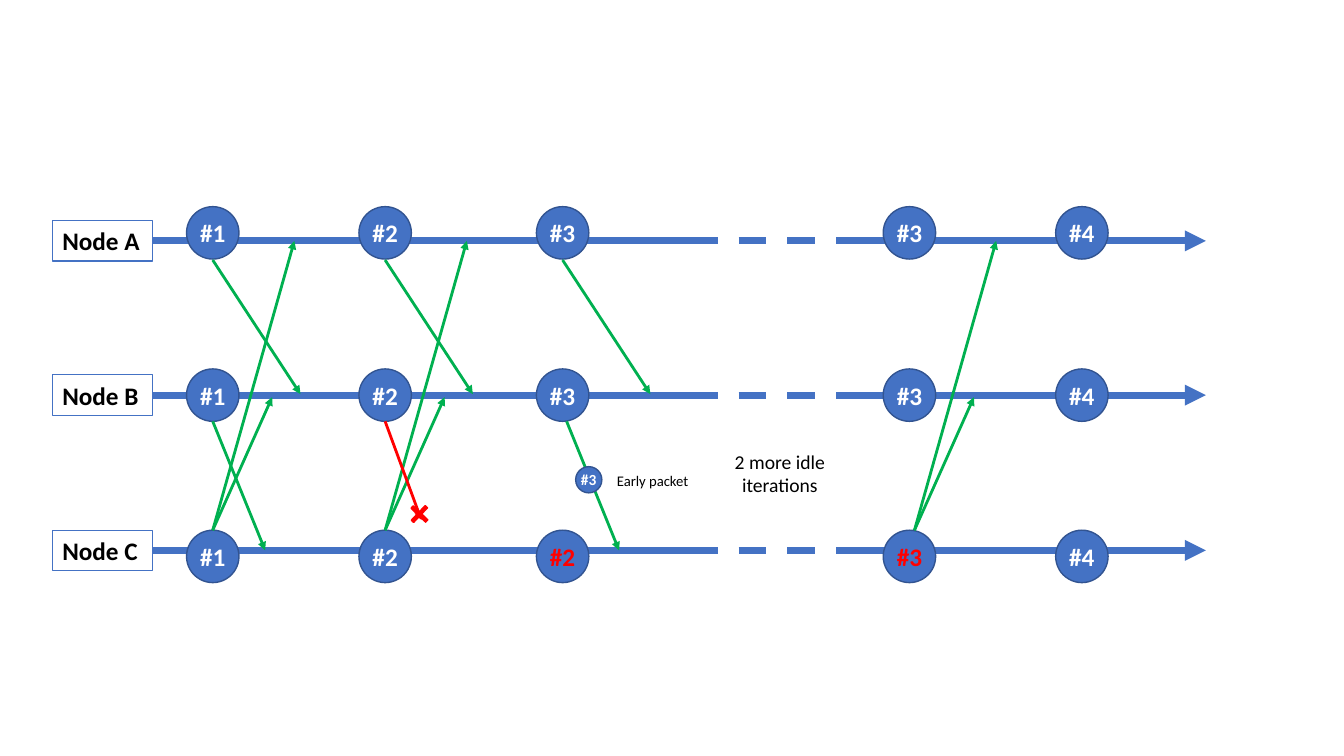
from dataclasses import dataclass
from lxml.etree import SubElement
from pptx import Presentation
from pptx.dml.color import RGBColor as Rgb
from pptx.enum.dml import MSO_LINE as Dash
from pptx.enum.shapes import MSO_CONNECTOR as Link, MSO_SHAPE as Form
from pptx.enum.text import MSO_ANCHOR as Anchor, PP_ALIGN as Align
from pptx.oxml.ns import qn
from pptx.util import Inches, Pt


@dataclass(frozen=True)
class Theme:
    font: str = "Calibri"
    blue: str = "4472C4"
    edge: str = "325491"
    green: str = "00B050"
    red: str = "FF0000"
    white: str = "FFFFFF"
    black: str = "000000"
    big: float = 18
    mid: float = 14
    small: float = 11
    tiny: float = 10.5
    rail: float = 5
    hop: float = 2


class Board:
    def __init__(self, slide, theme):
        self.slide = slide
        self.theme = theme

    def letter(self, item, text, size, color, bold=False, align=Align.LEFT):
        frame = item.text_frame
        frame.word_wrap = True
        para = frame.paragraphs[0]
        para.text = text
        para.alignment = align
        font = para.font
        font.name, font.size, font.bold = self.theme.font, Pt(size), bold
        font.color.rgb = Rgb.from_string(color)
        return frame

    def shape(self, form, left, top, wide, high, line, width=1, fill=None):
        item = self.slide.shapes.add_shape(
            form, Inches(left), Inches(top), Inches(wide), Inches(high))
        item.shadow.inherit = False
        if fill:
            item.fill.solid()
            item.fill.fore_color.rgb = Rgb.from_string(fill)
        else:
            item.fill.background()
        item.line.color.rgb = Rgb.from_string(line)
        item.line.width = Pt(width)
        return item

    def label(self, text, left, mid):
        item = self.shape(Form.RECTANGLE, left, mid - 0.2, 0.99, 0.4,
                          self.theme.blue, 0.75)
        frame = self.letter(item, text, self.theme.big, self.theme.black, True)
        frame.vertical_anchor = Anchor.TOP
        return item

    def disc(self, text, x, y, size, pt, color):
        item = self.shape(Form.OVAL, x - size / 2, y - size / 2, size, size,
                          self.theme.edge, fill=self.theme.blue)
        frame = self.letter(item, text, pt, color, True, Align.CENTER)
        frame.word_wrap = False
        frame.vertical_anchor = Anchor.MIDDLE
        frame.margin_left = frame.margin_right = 0
        frame.margin_top = frame.margin_bottom = 0

    def cross(self, x, y, size):
        red = self.theme.red
        item = self.shape(Form.CROSS, x - size / 2, y - size / 2, size, size,
                          red, fill=red)
        item.adjustments[0] = 0.42
        item.rotation = 43.5

    def note(self, text, left, top, wide, high, size, align=Align.LEFT):
        item = self.slide.shapes.add_textbox(
            Inches(left), Inches(top), Inches(wide), Inches(high))
        self.letter(item, text, size, self.theme.black, align=align)

    def line(self, start, end, color, width, head=True, dash=None):
        item = self.slide.shapes.add_connector(
            Link.STRAIGHT, *map(Inches, start + end))
        item.line.color.rgb = Rgb.from_string(color)
        item.line.width = Pt(width)
        if dash:
            item.line.dash_style = dash
        props = item._element.spPr
        if head:
            SubElement(props.find(qn("a:ln")), qn("a:tailEnd"), type="triangle")
        SubElement(props, qn("a:effectLst"))
        return item


def main():
    deck = Presentation()
    deck.slide_width, deck.slide_height = Inches(13.33), Inches(7.5)
    theme = Theme()
    board = Board(deck.slides.add_slide(deck.slide_layouts[6]), theme)

    rails = {"A": 2.39, "B": 3.92, "C": 5.46}
    for name, y in rails.items():
        box = board.label(f"Node {name}", 0.52, y)
        first = board.line((1.51, y), (6.84, y), theme.blue, theme.rail, False)
        first.begin_connect(box, 3)
        board.line((6.84, y), (8.43, y), theme.blue, theme.rail, False, Dash.DASH)
        board.line((8.43, y), (11.96, y), theme.blue, theme.rail)

    rows = (2.31, 3.92, 5.52)
    rounds = [
        (2.11, ("#1", "#1", "#1")),
        (3.82, ("#2", "#2", "#2")),
        (5.58, ("#3", "#3", "#2")),
        (9.02, ("#3", "#3", "#3")),
        (10.73, ("#4", "#4", "#4")),
    ]
    late = {(5.58, 5.52), (9.02, 5.52)}
    for x, marks in rounds:
        for y, mark in zip(rows, marks):
            color = theme.red if (x, y) in late else theme.white
            board.disc(mark, x, y, 0.52, theme.big, color)

    hops = {
        "AB": (2.58, 0.87, 3.91),
        "BC": (4.18, 0.52, 5.46),
        "CA": (5.26, 0.81, 2.39),
        "CB": (5.26, 0.59, 3.94),
    }
    sends = [
        (2.11, ("CA", "CB", "BC", "AB")),
        (3.82, ("CA", "CB", "AB")),
        (5.58, ("AB",)),
        (5.62, ("BC",)),
        (9.07, ("CA", "CB")),
    ]
    for x, keys in sends:
        for key in keys:
            top, run, end = hops[key]
            board.line((x, top), (x + run, end), theme.green, theme.hop)

    board.line((3.82, 4.18), (4.18, 5.16), theme.red, theme.hop)
    board.cross(4.16, 5.1, 0.2)
    board.disc("#3", 5.84, 4.76, 0.26, theme.small, theme.white)
    board.note("Early packet", 6.02, 4.63, 1.15, 0.29, theme.tiny)
    board.note("2 more idle iterations", 7.04, 4.41, 1.39, 0.57, theme.mid,
               Align.CENTER)
    deck.save("out.pptx")


if __name__ == "__main__":
    main()
